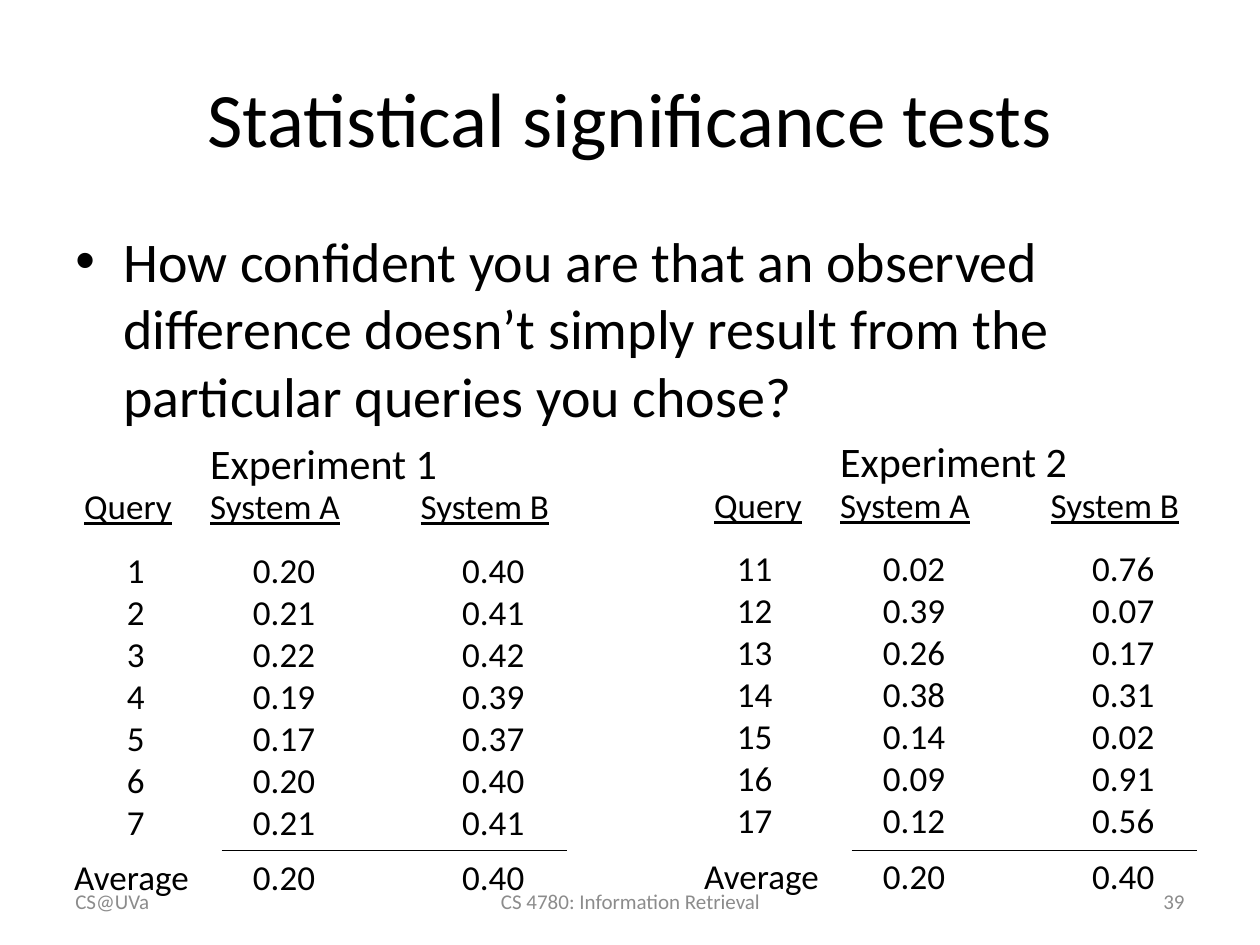
from dataclasses import dataclass

from lxml.etree import SubElement
from pptx import Presentation
from pptx.dml.color import RGBColor
from pptx.enum.shapes import MSO_CONNECTOR as Conn
from pptx.enum.text import MSO_ANCHOR as Anchor, PP_ALIGN as Align
from pptx.oxml.ns import qn
from pptx.util import Inches, Pt

# Grid of 100 columns by 75 rows on a 10 x 7.5 inch slide
UNIT = Inches(0.1)
FONT, BLACK, GREY = "Calibri", "000000", "8C8C8C"


@dataclass
class Box:
    col: float
    row: float
    cols: float
    rows: float

    def emu(self) -> list[int]:
        return [round(v * UNIT) for v in (self.col, self.row, self.cols, self.rows)]


@dataclass
class Column:
    heading: str
    heading_col: float
    heading_cols: float
    values_col: float
    values_cols: float
    values: list[str]


@dataclass
class Experiment:
    title: str
    col: float
    row: float
    columns: list[Column]
    averages: list[str]


def rgb(hex_colour: str) -> RGBColor:
    return RGBColor.from_string(hex_colour)


def fill_text(tf, lines: list[str], size: int, colour: str = BLACK,
              align=Align.LEFT, underline: bool = False) -> None:
    for i, line in enumerate(lines):
        p = tf.add_paragraph() if i else tf.paragraphs[0]
        p.alignment = align
        r = p.add_run()
        r.text = line
        r.font.name, r.font.size = FONT, Pt(size)
        r.font.color.rgb = rgb(colour)
        if underline:
            r.font.underline = True


def add_text(shapes, box: Box, lines: list[str], size: int, wrap: bool = False,
             anchor=Anchor.TOP, **style):
    tf = shapes.add_textbox(*box.emu()).text_frame
    tf.word_wrap = wrap
    tf.vertical_anchor = anchor
    fill_text(tf, lines, size, **style)
    return tf


def add_bullet(p, indent: int) -> None:
    pPr = p._p.get_or_add_pPr()
    pPr.set("marL", str(indent))
    pPr.set("indent", str(-indent))
    SubElement(pPr, qn("a:buFont"), typeface="Arial")
    SubElement(pPr, qn("a:buChar"), char="•")


def add_rule(shapes, col: float, row: float, cols: float) -> None:
    x, y, w, _ = Box(col, row, cols, 0).emu()
    s = shapes.add_connector(Conn.STRAIGHT, x, y, x + w, y)
    s.line.color.rgb = rgb(BLACK)
    s.line.width = Pt(1)
    SubElement(s._element.spPr, qn("a:effectLst"))


def add_experiment(slide, e: Experiment) -> None:
    shapes = slide.shapes.add_group_shape().shapes
    add_text(shapes, Box(e.col + 15.7, e.row, 20.2, 5), [e.title], 24)
    # Headings and values
    for c in e.columns:
        add_text(shapes, Box(e.col + c.heading_col, e.row + 3.8, c.heading_cols, 4.3),
                 [c.heading], 20, underline=True)
        add_text(shapes, Box(e.col + c.values_col, e.row + 8.8, c.values_cols, 24.5),
                 c.values, 20)
    # Average row under the rule
    add_rule(shapes, e.col + 17.6, 67.5, 27.4)
    average_row = e.row + 33.2
    add_text(shapes, Box(e.col + 4.9, average_row, 11.2, 4.3), ["Average"], 20)
    for c, average in zip(e.columns[1:], e.averages):
        add_text(shapes, Box(e.col + c.values_col, average_row, c.values_cols, 4.3),
                 [average], 20)


def query(col: float, cols: float, first: int) -> Column:
    return Column("Query", 5.7, 9, col, cols, [str(first + i) for i in range(7)])


def system_a(values: str) -> Column:
    return Column("System A", 15.7, 12.4, 19.1, 7, values.split())


def system_b(values: str) -> Column:
    return Column("System B", 32.4, 12.3, 35.7, 7, values.split())


EXPERIMENTS = [
    Experiment("Experiment 1", 0, 34.2, [
        query(9.1, 3.4, 1),
        system_a("0.20 0.21 0.22 0.19 0.17 0.20 0.21"),
        system_b("0.40 0.41 0.42 0.39 0.37 0.40 0.41"),
    ], ["0.20", "0.40"]),
    Experiment("Experiment 2", 50, 34.1, [
        query(7.5, 4.8, 11),
        system_a("0.02 0.39 0.26 0.38 0.14 0.09 0.12"),
        system_b("0.76 0.07 0.17 0.31 0.02 0.91 0.56"),
    ], ["0.20", "0.40"]),
]

FOOTERS = [
    (Box(34.2, 69.5, 31.7, 4), "CS 4780: Information Retrieval", Align.CENTER),
    (Box(5, 69.5, 23.3, 4), "CS@UVa", Align.LEFT),
    (Box(71.7, 69.5, 23.3, 4), "39", Align.RIGHT),
]


def main() -> None:
    prs = Presentation()
    prs.slide_width, prs.slide_height = 100 * UNIT, 75 * UNIT
    slide = prs.slides.add_slide(prs.slide_layouts[5])

    # Title
    title = slide.shapes.title
    title.left, title.top, title.width, title.height = Box(5, 3, 90, 12.5).emu()
    title.text_frame.vertical_anchor = Anchor.MIDDLE
    fill_text(title.text_frame, ["Statistical significance tests"], 44, align=Align.CENTER)

    # Question
    question = ("How confident you are that an observed difference doesn’t simply "
                "result from the particular queries you chose?")
    tf = add_text(slide.shapes, Box(5, 17.5, 90, 49.5), [question], 32, wrap=True)
    add_bullet(tf.paragraphs[0], Inches(0.38))

    # Experiments side by side
    for e in EXPERIMENTS:
        add_experiment(slide, e)

    # Footer
    for box, text, align in FOOTERS:
        add_text(slide.shapes, box, [text], 12, wrap=True, anchor=Anchor.MIDDLE,
                 colour=GREY, align=align)

    prs.save("out.pptx")


if __name__ == "__main__":
    main()
